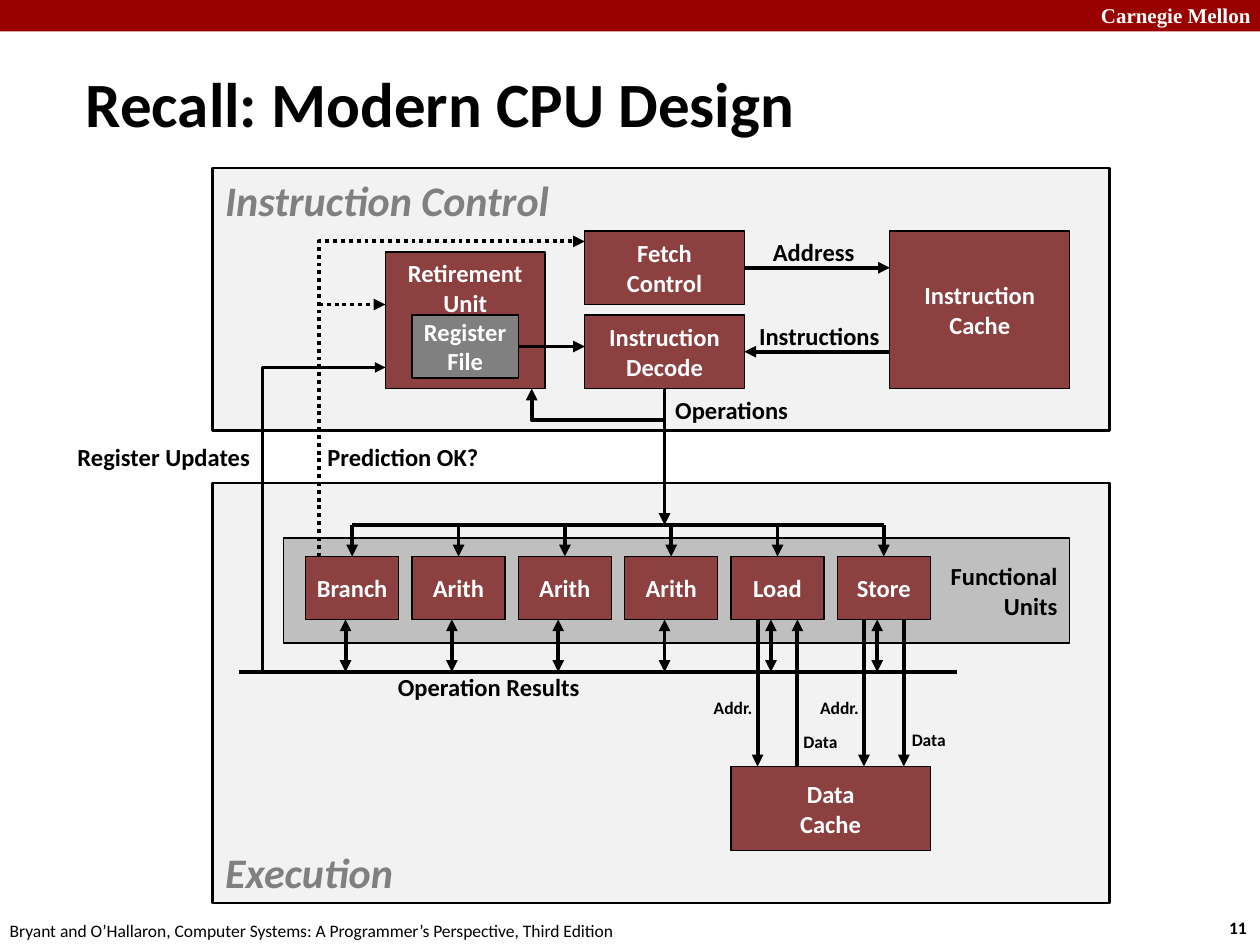
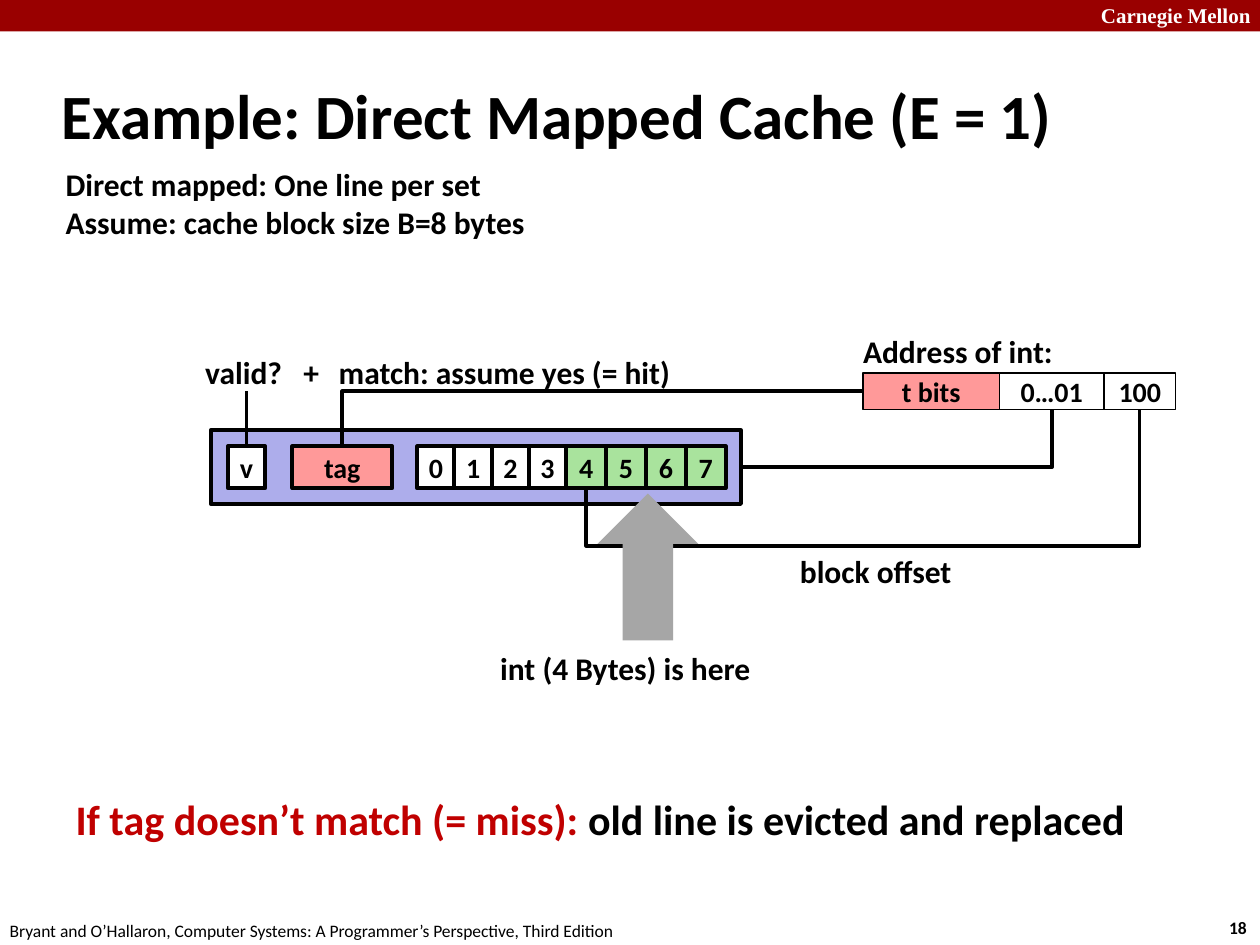
from dataclasses import dataclass, replace
from typing import NamedTuple, Optional

from lxml.etree import SubElement
from pptx import Presentation
from pptx.dml.color import RGBColor
from pptx.enum.dml import MSO_LINE
from pptx.enum.shapes import MSO_CONNECTOR, MSO_SHAPE
from pptx.enum.text import MSO_ANCHOR, MSO_AUTO_SIZE, PP_ALIGN
from pptx.oxml.ns import qn
from pptx.util import Inches, Pt

COLORS = {
    "band": "990000", "white": "FFFFFF", "black": "000000", "panel": "F2F2F2",
    "units": "BFBFBF", "gray": "808080", "block": "8C4040", "line": "ADADEB",
    "tag": "FF9999", "hit": "A9E39D", "arrow": "A6A6A6", "miss": "C00000",
}
WIDTH, HEIGHT = Inches(10), Inches(7.5)
COL, ROW = WIDTH / 94.8, HEIGHT / 90
CREDIT = ("Bryant and O’Hallaron, Computer Systems: "
          "A Programmer’s Perspective, Third Edition")


class Box(NamedTuple):
    """Columns and rows of the grid."""
    x: float
    y: float
    w: float
    h: float

    def emu(self) -> tuple[int, ...]:
        return (*at(self.x, self.y), *at(self.w, self.h))


class Joint(NamedTuple):
    shape: object
    site: int


class Label(NamedTuple):
    text: str
    box: Box


@dataclass(frozen=True)
class Style:
    size: float = 14
    color: str = "black"
    align: PP_ALIGN = PP_ALIGN.LEFT
    anchor: MSO_ANCHOR = MSO_ANCHOR.TOP
    bold: bool = True
    italic: bool = False
    font: str = "Calibri"


@dataclass(frozen=True)
class Stroke:
    width: float = 2.25
    dotted: bool = False
    head: bool = False
    tail: bool = True


PLAIN = Style()
CENTER = Style(align=PP_ALIGN.CENTER)
BLOCK = Style(color="white", align=PP_ALIGN.CENTER, anchor=MSO_ANCHOR.MIDDLE)
PANEL = Style(24, "gray", italic=True)
TITLE = Style(36, anchor=MSO_ANCHOR.MIDDLE)
NOTE = Style(18)
FIELD = Style(16, align=PP_ALIGN.CENTER, anchor=MSO_ANCHOR.MIDDLE)
ARROW = Stroke()
DOTTED = Stroke(dotted=True)
BAR = Stroke(tail=False)
WIRE = Stroke(2, tail=False)


def at(x: float, y: float) -> tuple[int, int]:
    return round(x * COL), round(y * ROW)


def rgb(name: str) -> RGBColor:
    return RGBColor.from_string(COLORS[name])


def add_run(p, text: str, style: Style) -> None:
    r = p.add_run()
    r.text = text
    f = r.font
    f.name, f.size, f.bold, f.italic = style.font, Pt(style.size), style.bold, style.italic
    f.color.rgb = rgb(style.color)


def write(sp, text: str, style: Style, wrap: bool = False) -> None:
    tf = sp.text_frame
    tf.word_wrap, tf.vertical_anchor = wrap, style.anchor
    for i, row in enumerate(text.split("\n")):
        p = tf.add_paragraph() if i else tf.paragraphs[0]
        p.alignment = style.align
        add_run(p, row, style)


def add_label(sl, label: Label, style: Style):
    sp = sl.shapes.add_textbox(*label.box.emu())
    write(sp, label.text, style)
    sp.text_frame.auto_size = MSO_AUTO_SIZE.SHAPE_TO_FIT_TEXT
    return sp


def add_box(sl, box: Box, fill: str, text: str = "", style: Style = BLOCK,
            border: float = 0.75, preset: MSO_SHAPE = MSO_SHAPE.RECTANGLE):
    sp = sl.shapes.add_shape(preset, *box.emu())
    sp.shadow.inherit = False
    sp.fill.solid()
    sp.fill.fore_color.rgb = rgb(fill)
    if border:
        sp.line.color.rgb = rgb("black")
        sp.line.width = Pt(border)
    else:
        sp.line.fill.background()
    if text:
        write(sp, text, style)
    return sp


def apply_stroke(sp, stroke: Stroke) -> None:
    sp.line.color.rgb = rgb("black")
    sp.line.width = Pt(stroke.width)
    if stroke.dotted:
        sp.line.dash_style = MSO_LINE.ROUND_DOT
    ln = sp.element.spPr.find(qn("a:ln"))
    for tag, wanted in (("a:headEnd", stroke.head), ("a:tailEnd", stroke.tail)):
        if wanted:
            SubElement(ln, qn(tag), type="triangle")


def add_line(sl, start: tuple, end: tuple, stroke: Stroke = ARROW,
             begin: Optional[Joint] = None, finish: Optional[Joint] = None) -> None:
    sp = sl.shapes.add_connector(MSO_CONNECTOR.STRAIGHT, *at(*start), *at(*end))
    if begin:
        sp.begin_connect(*begin)
    if finish:
        sp.end_connect(*finish)
    apply_stroke(sp, stroke)
    SubElement(sp.element.spPr, qn("a:effectLst"))


def add_route(sl, points: list[tuple], stroke: Stroke) -> None:
    """Draw one open line with corners."""
    first, *rest = [at(*point) for point in points]
    fb = sl.shapes.build_freeform(*first)
    fb.add_line_segments(rest, close=False)
    sp = fb.convert_to_shape()
    sp.shadow.inherit = False
    sp.fill.background()
    apply_stroke(sp, stroke)


def add_slide(prs, number: str, title: str, box: Box):
    sl = prs.slides.add_slide(prs.slide_layouts[5])
    sp = sl.shapes.title
    sp.left, sp.top, sp.width, sp.height = box.emu()
    write(sp, title, TITLE, wrap=True)
    sp.text_frame.auto_size = MSO_AUTO_SIZE.NONE
    add_box(sl, Box(0, 0, 94.8, 3), "band", border=0)
    add_label(sl, Label("Carnegie Mellon", Box(81.9, -0.35, 13.55, 3.6)),
              Style(12, "white", font="Times New Roman"))
    add_label(sl, Label(number, Box(91.55, 86.75, 3.5, 3.2)), Style(10))
    add_label(sl, Label(CREDIT, Box(-0.2, 87, 48.2, 3.2)), Style(10, bold=False))
    return sl


def build_cpu_slide(prs) -> None:
    sl = add_slide(prs, "11", "Recall: Modern CPU Design", Box(5.5, 6, 60.8, 7.55))
    add_box(sl, Box(16, 46, 67.5, 40), "panel", "Execution",
            replace(PANEL, anchor=MSO_ANCHOR.BOTTOM), 1.5)
    add_box(sl, Box(21.35, 51.25, 59.15, 10), "units", "Functional\nUnits",
            Style(align=PP_ALIGN.RIGHT, anchor=MSO_ANCHOR.MIDDLE))
    add_box(sl, Box(16, 16, 67.5, 25), "panel", "Instruction Control", PANEL, 1.5)

    add_box(sl, Box(66.95, 22, 13.55, 15), "block", "Instruction\nCache")
    add_box(sl, Box(55, 73, 15, 8), "block", "Data\nCache")
    fetch = add_box(sl, Box(44, 22, 12, 7), "block", "Fetch\nControl")
    decode = add_box(sl, Box(44, 30, 12, 7), "block", "Instruction\nDecode")
    add_box(sl, Box(29, 24, 12, 13), "block", "Retirement\nUnit",
            replace(BLOCK, anchor=MSO_ANCHOR.TOP))
    registers = add_box(sl, Box(31, 30, 8, 6), "gray", "Register\nFile")

    unit_w, pitch, first = 7, 8, 23
    names = ["Branch", "Arith", "Arith", "Arith", "Load", "Store"]
    for i, name in enumerate(names):
        x = first + pitch * i
        unit = add_box(sl, Box(x, 53, unit_w, 6), "block", name)
        add_line(sl, (x + unit_w / 2, 50), (x + unit_w / 2, 53), finish=Joint(unit, 0))
        add_line(sl, (x + 3, 59), (x + 3, 64), Stroke(head=True))
    middle = first + unit_w / 2
    add_line(sl, (middle, 50), (middle + pitch * (len(names) - 1), 50), BAR)
    add_line(sl, (18, 64), (72, 64), BAR)

    add_line(sl, (56, 25.5), (66.95, 25.5), begin=Joint(fetch, 3))
    add_line(sl, (66.95, 33.5), (56, 33.5), finish=Joint(decode, 3))
    add_line(sl, (50, 37), (50, 50), begin=Joint(decode, 2))
    add_line(sl, (39, 33), (44, 33), begin=Joint(registers, 3))
    add_line(sl, (24, 29), (29, 29), DOTTED)
    add_line(sl, (60, 73), (60, 59))
    for x in (57, 65, 68):
        add_line(sl, (x, 59), (x, 73))
    add_route(sl, [(24, 53), (24, 23), (44, 23)], DOTTED)
    add_route(sl, [(19.75, 64), (19.75, 35), (29, 35)], Stroke(1.5))
    add_route(sl, [(50, 40), (40, 40), (40, 37)], ARROW)

    for label in (Label("Address", Box(57.15, 22, 8.15, 4)),
                  Label("Instructions", Box(56.1, 30, 11.1, 4)),
                  Label("Operations", Box(49.8, 37, 10.5, 4))):
        add_label(sl, label, CENTER)
    for label in (Label("Prediction OK?", Box(23.7, 41.5, 13.4, 4)),
                  Label("Operation Results", Box(29, 63.4, 15.7, 4))):
        add_label(sl, label, PLAIN)
    add_label(sl, Label("Register Updates", Box(4.75, 41.5, 15, 4)),
              Style(align=PP_ALIGN.RIGHT))
    for label in (Label("Data", Box(67.6, 68.8, 4.55, 3.25)),
                  Label("Data", Box(59.45, 69, 4.55, 3.25)),
                  Label("Addr.", Box(52.7, 65.8, 4.9, 3.25)),
                  Label("Addr.", Box(60.7, 65.8, 4.9, 3.25))):
        add_label(sl, label, replace(CENTER, size=10))


def build_cache_slide(prs) -> None:
    sl = add_slide(prs, "18", "Example: Direct Mapped Cache (E = 1)",
                   Box(3.7, 5.9, 78.7, 10))
    for text, fill, x, w in (("t bits", "tag", 64.95, 10.25),
                             ("0…01", "white", 75.2, 7.85),
                             ("100", "white", 83.05, 5.4)):
        add_box(sl, Box(x, 35.5, w, 3.5), fill, text, FIELD, 1)

    add_box(sl, Box(15.85, 41, 39.9, 7), "line", border=2.25)
    cell_y, cell_h = 42.5, 4
    valid = add_box(sl, Box(17.15, cell_y, 2.8, cell_h), "white", "v", FIELD, 2.25)
    add_box(sl, Box(22, cell_y, 7.5, cell_h), "tag", "tag", FIELD, 2.25)
    x = 31.4
    for byte in range(8):
        fill, w = ("white", 2.8) if byte < 4 else ("hit", 3)
        add_box(sl, Box(x, cell_y, w, cell_h), fill, str(byte), FIELD, 2.25)
        x += w

    add_line(sl, (18.55, 37.25), (18.55, cell_y), WIRE, finish=Joint(valid, 0))
    for points in ([(79.15, 39), (79.15, 44.5), (55.75, 44.5)],
                   [(64.95, 37.25), (25.75, 37.25), (25.75, cell_y)],
                   [(85.75, 39), (85.75, 52), (44.1, 52), (44.1, cell_y + cell_h)]):
        add_route(sl, points, WIRE)
    add_box(sl, Box(44.95, 47, 7.6, 14), "arrow", border=0, preset=MSO_SHAPE.UP_ARROW)

    for label in (Label("Direct mapped: One line per set\n"
                        "Assume: cache block size B=8 bytes", Box(4, 15.1, 36.8, 8.5)),
                  Label("Address of int:", Box(64, 31, 16.3, 4.8)),
                  Label("valid?", Box(14.5, 33, 8.4, 4.8)),
                  Label("+", Box(21.9, 33, 3.4, 4.8)),
                  Label("match: assume yes (= hit)", Box(24.55, 33, 27.1, 4.8)),
                  Label("int (4 Bytes) is here", Box(36.7, 61.2, 21, 4.8)),
                  Label("block offset", Box(59.25, 52, 13.5, 4.8))):
        add_label(sl, label, NOTE)
    sp = add_label(sl, Label("If tag doesn’t match (= miss): ", Box(4.75, 75, 81.6, 6)),
                   Style(24, "miss"))
    add_run(sp.text_frame.paragraphs[0], "old line is evicted and replaced", Style(24))


def main() -> None:
    prs = Presentation()
    prs.slide_width, prs.slide_height = WIDTH, HEIGHT
    build_cpu_slide(prs)
    build_cache_slide(prs)
    prs.save("out.pptx")


if __name__ == "__main__":
    main()
